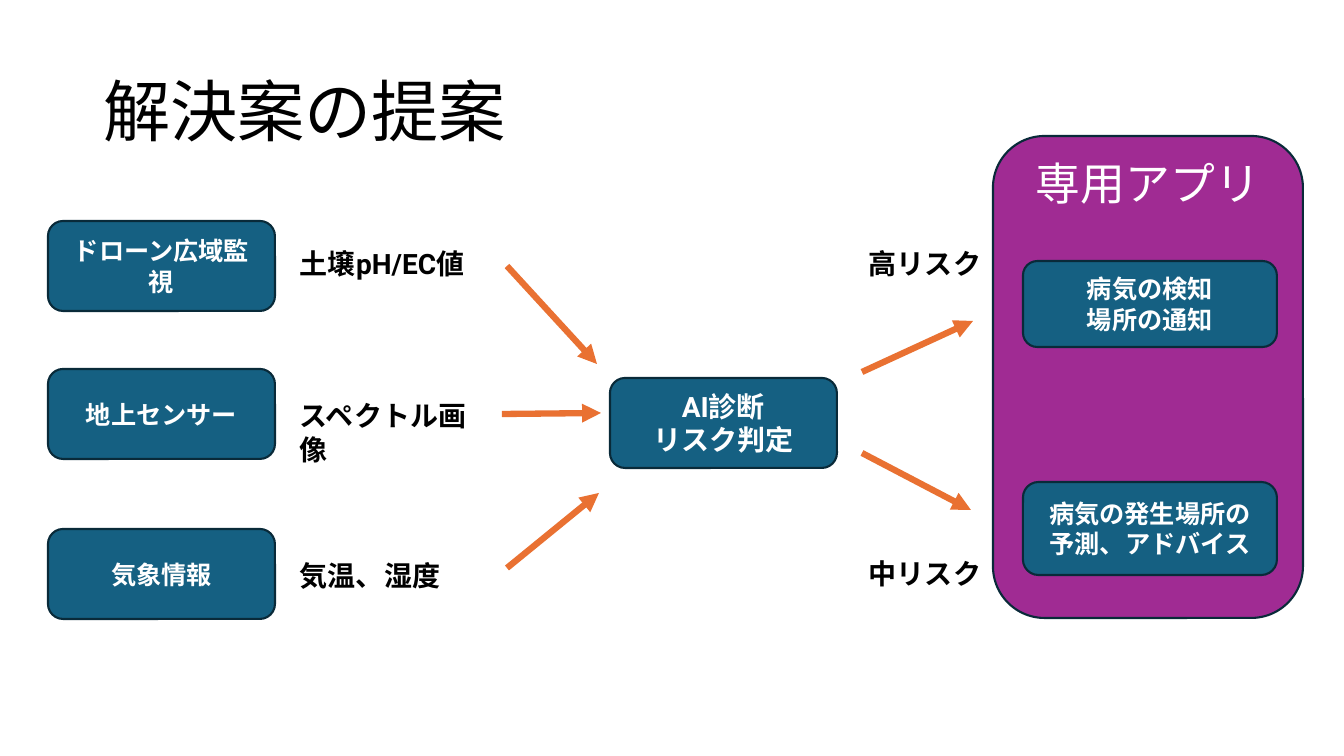
"""Build the slide that shows the proposed farm monitoring solution."""
from dataclasses import dataclass

import lxml.etree
import pptx
import pptx.dml.color
import pptx.enum.shapes
import pptx.enum.text
import pptx.oxml.ns
import pptx.util

RGB = pptx.dml.color.RGBColor
ALIGN = pptx.enum.text.PP_ALIGN
ANCHOR = pptx.enum.text.MSO_ANCHOR

WHITE = RGB(0xFF, 0xFF, 0xFF)
BLACK = RGB(0x00, 0x00, 0x00)
TEAL = RGB(0x15, 0x60, 0x82)
PURPLE = RGB(0xA0, 0x2B, 0x93)
NAVY = RGB(0x09, 0x2A, 0x39)
ORANGE = RGB(0xE9, 0x71, 0x32)
FONT = "Roboto"
EMU_PER_PIXEL = 914400 / 100.8


@dataclass(frozen=True)
class Box:
    """A rounded box with centred text, in pixels."""
    text: str
    left: int
    top: int
    width: int = 227
    height: int = 90
    size: int = 18
    fill: RGB = TEAL
    bold: bool = True
    anchor: ANCHOR = ANCHOR.MIDDLE


@dataclass(frozen=True)
class Label:
    """A bold caption beside a box, in pixels."""
    text: str
    left: int
    top: int
    width: int


@dataclass(frozen=True)
class Arrow:
    """A straight arrow between two points, in pixels."""
    start_x: int
    start_y: int
    end_x: int
    end_y: int


def px(*lengths: int) -> list[pptx.util.Emu]:
    """Turn pixels into EMU."""
    return [pptx.util.Emu(round(length * EMU_PER_PIXEL)) for length in lengths]


def write(frame, text: str, size: int, color: RGB, bold: bool, align: ALIGN) -> None:
    """Set the text of a frame and format every run."""
    frame.text = text
    frame.word_wrap = True
    for paragraph in frame.paragraphs:
        paragraph.alignment = align
        for run in paragraph.runs:
            run.font.name = FONT
            run.font.size = pptx.util.Pt(size)
            run.font.bold = bold
            run.font.color.rgb = color


def draw_box(slide, box: Box) -> None:
    """Draw a rounded box."""
    shape = slide.shapes.add_shape(
        pptx.enum.shapes.MSO_SHAPE.ROUNDED_RECTANGLE,
        *px(box.left, box.top, box.width, box.height))
    shape.shadow.inherit = False
    shape.fill.solid()
    shape.fill.fore_color.rgb = box.fill
    shape.line.color.rgb = NAVY
    shape.line.width = pptx.util.Pt(1.5)
    write(shape.text_frame, box.text, box.size, WHITE, box.bold, ALIGN.CENTER)
    shape.text_frame.vertical_anchor = box.anchor


def draw_label(slide, label: Label) -> None:
    """Draw a caption."""
    caption = slide.shapes.add_textbox(*px(label.left, label.top, label.width, 44))
    write(caption.text_frame, label.text, 20, BLACK, True, ALIGN.LEFT)


def draw_arrow(slide, arrow: Arrow) -> None:
    """Draw an arrow with a triangular head."""
    connector = slide.shapes.add_connector(
        pptx.enum.shapes.MSO_CONNECTOR.STRAIGHT,
        *px(arrow.start_x, arrow.start_y, arrow.end_x, arrow.end_y))
    connector.line.color.rgb = ORANGE
    connector.line.width = pptx.util.Pt(4.5)
    qn = pptx.oxml.ns.qn
    head = lxml.etree.SubElement(connector.line._get_or_add_ln(), qn("a:tailEnd"))
    head.set("type", "triangle")
    lxml.etree.SubElement(connector._element.spPr, qn("a:effectLst"))


def draw_title(slide, text: str) -> None:
    """Place and format the title placeholder."""
    title = slide.shapes.title
    title.left, title.top, title.width, title.height = px(93, 40, 485, 149)
    write(title.text_frame, text, 48, BLACK, False, ALIGN.LEFT)
    title.text_frame.vertical_anchor = ANCHOR.MIDDLE
    title.text_frame.auto_size = pptx.enum.text.MSO_AUTO_SIZE.NONE
    title.text_frame.paragraphs[0].line_spacing = 0.9


BOXES = [
    Box("専用アプリ", 993, 136, 310, 482, 32, PURPLE, False, ANCHOR.TOP),
    Box("ドローン広域監視", 48, 221),
    Box("地上センサー", 48, 369),
    Box("気象情報", 48, 529),
    Box("AI診断\nリスク判定", 610, 378, size=20),
    Box("病気の検知\n場所の通知", 1023, 261, 254, 86),
    Box("病気の発生場所の予測、アドバイス", 1023, 482, 254, 93),
]
LABELS = [
    Label("土壌pH/EC値", 290, 242, 210),
    Label("スペクトル画像", 290, 394, 210),
    Label("気温、湿度", 290, 554, 210),
    Label("高リスク", 859, 242, 134),
    Label("中リスク", 859, 552, 134),
]
ARROWS = [
    Arrow(507, 266, 597, 364),
    Arrow(502, 414, 601, 413),
    Arrow(507, 568, 599, 493),
    Arrow(862, 372, 973, 321),
    Arrow(862, 453, 971, 510),
]


def main() -> None:
    """Build and save the presentation."""
    presentation = pptx.Presentation()
    presentation.slide_width, presentation.slide_height = px(1344, 756)
    slide = presentation.slides.add_slide(presentation.slide_layouts[5])
    draw_title(slide, "解決案の提案")
    for box in BOXES:
        draw_box(slide, box)
    for label in LABELS:
        draw_label(slide, label)
    for arrow in ARROWS:
        draw_arrow(slide, arrow)
    presentation.save("out.pptx")


main()
